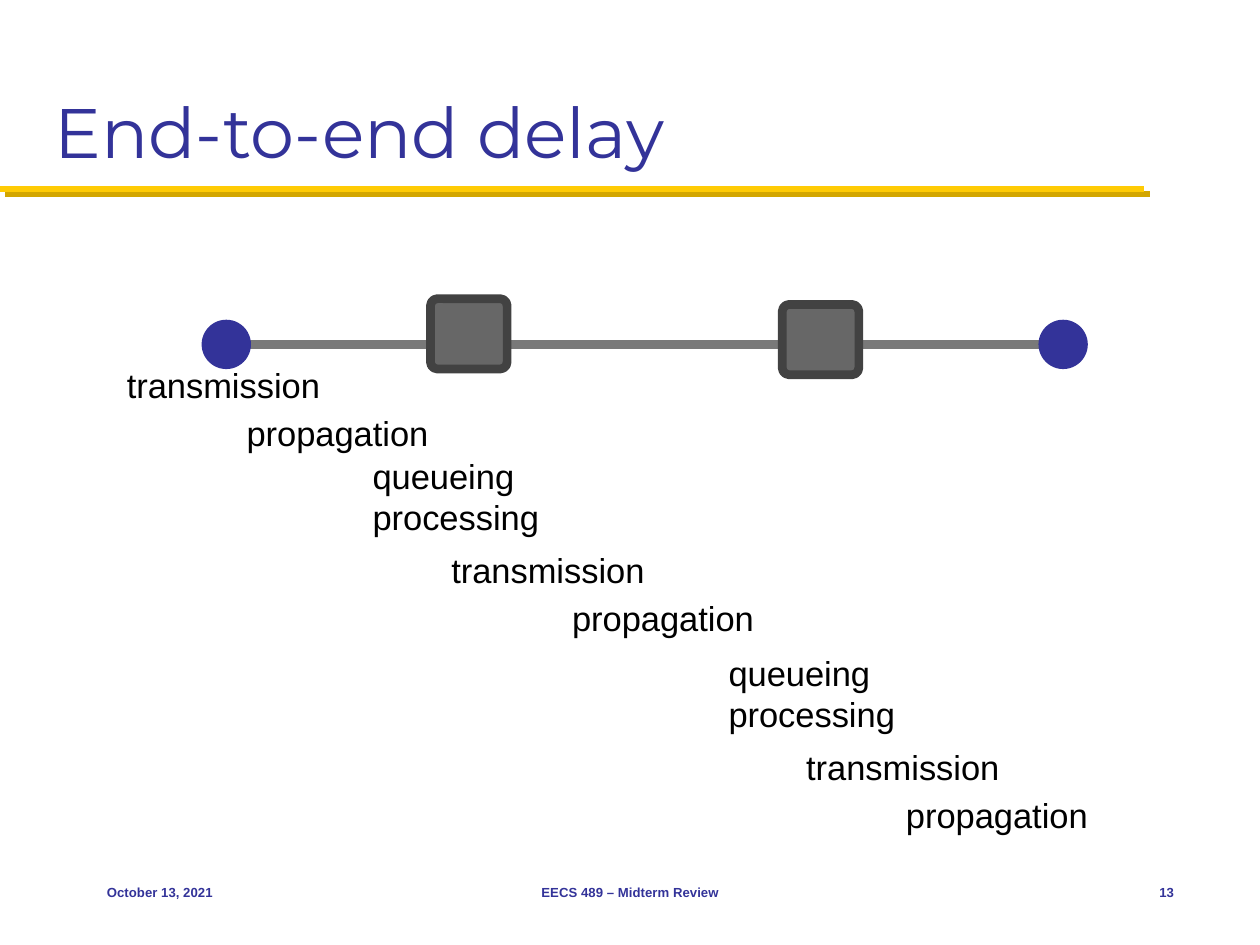
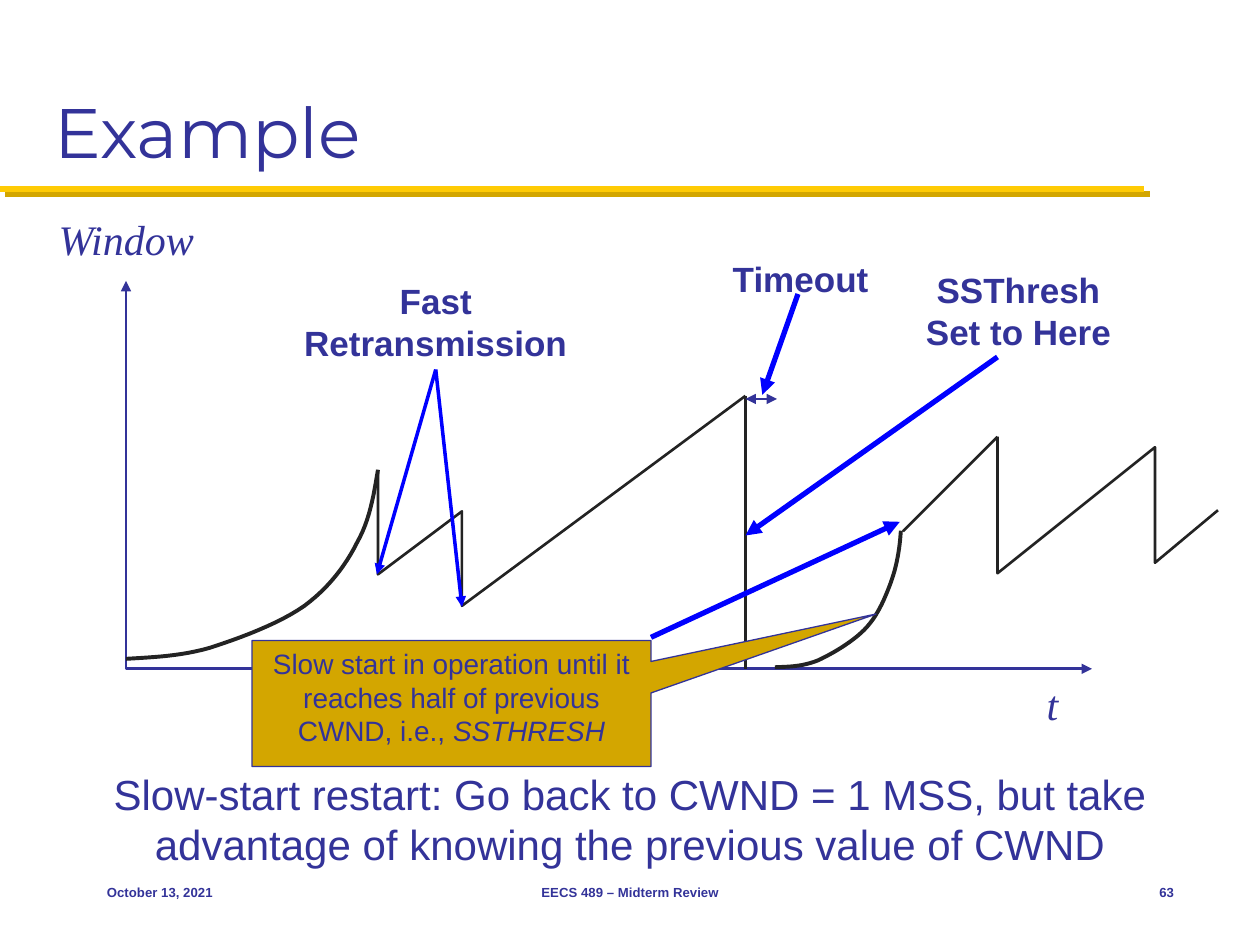
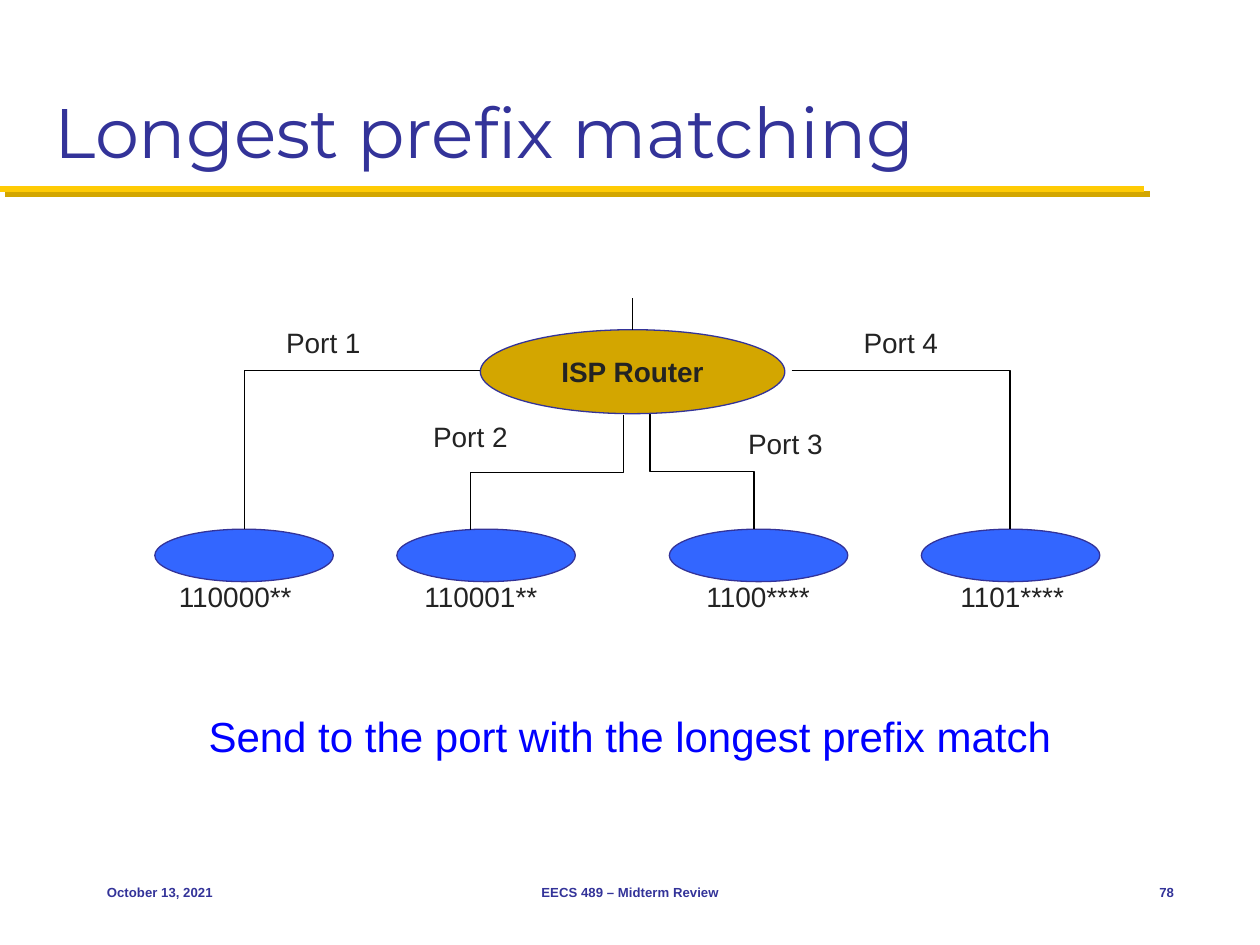
from dataclasses import dataclass
from typing import NamedTuple

from lxml.etree import SubElement
from pptx import Presentation
from pptx.dml.color import RGBColor
from pptx.enum.shapes import MSO_CONNECTOR, MSO_SHAPE
from pptx.enum.text import MSO_ANCHOR, PP_ALIGN
from pptx.oxml.ns import qn
from pptx.util import Emu, Inches, Pt

STRAIGHT, ELBOW = MSO_CONNECTOR.STRAIGHT, MSO_CONNECTOR.ELBOW
ELLIPSE, ROUNDED = MSO_SHAPE.OVAL, MSO_SHAPE.ROUNDED_RECTANGLE
CALLOUT = MSO_SHAPE.RECTANGULAR_CALLOUT
LEFT, CENTER, RIGHT = PP_ALIGN.LEFT, PP_ALIGN.CENTER, PP_ALIGN.RIGHT
TOP, MIDDLE, BOTTOM = MSO_ANCHOR.TOP, MSO_ANCHOR.MIDDLE, MSO_ANCHOR.BOTTOM

COLS, ROWS = 120, 90
WIDTH, HEIGHT = Inches(10), Inches(7.5)
COLORS = {
    "navy": "333399", "maize": "FFCB05", "gold": "D3A600", "blue": "0000FF",
    "azure": "3366FF", "ink": "232323", "black": "000000",
    "link": "797979", "router": "676767", "edge": "424242",
}
TITLE = {"name": "Montserrat", "size": Pt(40), "color": "navy"}
FOOTER = {"name": "Arial", "size": Pt(7.5), "bold": True, "color": "navy"}
STAGE = {"name": "Arial", "size": Pt(19.7), "color": "black"}
AXIS = {"name": "Times New Roman", "size": Pt(24), "italic": True, "color": "navy"}
EVENT = {"name": "Arial", "size": Pt(20), "bold": True, "color": "navy"}
BODY = {"name": "Arial", "size": Pt(24), "color": "navy"}
NOTE = {"name": "Arial", "size": Pt(16), "color": "navy"}
PORT = {**NOTE, "color": "ink"}
TIGHT = {f"margin_{side}": Inches(0.04) for side in ("left", "right", "top", "bottom")}


class Point(NamedTuple):
    x: float
    y: float


class Box(NamedTuple):
    x: float
    y: float
    w: float
    h: float


class Stroke(NamedTuple):
    color: str
    width: float


@dataclass
class Label:
    text: str
    box: Box
    font: dict
    align: PP_ALIGN = LEFT
    anchor: MSO_ANCHOR = TOP


@dataclass
class Arrow:
    start: Point
    end: Point
    stroke: Stroke
    ends: tuple = ("tailEnd",)


@dataclass
class Port:
    name: str
    name_box: Box
    prefix: str
    prefix_x: float
    host_x: float


def col(n: float) -> Emu:
    return Emu(round(WIDTH * n / COLS))


def row(n: float) -> Emu:
    return Emu(round(HEIGHT * n / ROWS))


def place(box: Box) -> tuple:
    return col(box.x), row(box.y), col(box.w), row(box.h)


def rgb(name: str) -> RGBColor:
    return RGBColor.from_string(COLORS[name])


def add_run(p, text: str, font: dict) -> None:
    r = p.add_run()
    r.text = text
    for key, value in font.items():
        if key == "color":
            r.font.color.rgb = rgb(value)
        else:
            setattr(r.font, key, value)


def write(tf, label: Label, **frame) -> None:
    fmt = {"word_wrap": True, "vertical_anchor": label.anchor, **frame}
    for key, value in fmt.items():
        setattr(tf, key, value)
    for i, line in enumerate(label.text.split("\n")):
        p = tf.add_paragraph() if i else tf.paragraphs[0]
        p.alignment = label.align
        add_run(p, line, label.font)


def add_label(s, label: Label, **frame) -> None:
    write(s.shapes.add_textbox(*place(label.box)).text_frame, label, **frame)


def set_stroke(sp, stroke: Stroke, ends: tuple = ()) -> None:
    sp.line.color.rgb = rgb(stroke.color)
    sp.line.width = Pt(stroke.width)
    ln = sp.element.spPr.find(qn("a:ln"))
    for end in ends:
        SubElement(ln, qn(f"a:{end}"), type="triangle")


def add_shape(s, kind, box: Box, fill: str, stroke: Stroke | None = None):
    sp = s.shapes.add_shape(kind, *place(box))
    sp.shadow.inherit = False
    sp.fill.solid()
    sp.fill.fore_color.rgb = rgb(fill)
    if stroke:
        set_stroke(sp, stroke)
    else:
        sp.line.fill.background()
    return sp


def add_line(s, start: Point, end: Point, stroke: Stroke, ends: tuple = (), kind=STRAIGHT):
    sp = s.shapes.add_connector(kind, col(start.x), row(start.y), col(end.x), row(end.y))
    set_stroke(sp, stroke, ends)
    SubElement(sp.element.spPr, qn("a:effectLst"))
    return sp


def add_path(s, points: list, stroke: Stroke, ends: tuple = ()) -> None:
    pts = [(col(x), row(y)) for x, y in points]
    fb = s.shapes.build_freeform(*pts[0], scale=1.0)
    fb.add_line_segments(pts[1:], close=False)
    sp = fb.convert_to_shape()
    sp.shadow.inherit = False
    sp.fill.background()
    set_stroke(sp, stroke, ends)


def bezier(knots: list, steps: int = 12) -> list:
    points = [knots[0]]
    for i in range(0, len(knots) - 1, 3):
        a, b, c, d = knots[i:i + 4]
        for n in range(1, steps + 1):
            t = n / steps
            u = 1 - t
            weights = (u ** 3, 3 * u * u * t, 3 * u * t * t, t ** 3)
            points.append(tuple(
                sum(k * v for k, v in zip(weights, axis)) for axis in zip(a, b, c, d)
            ))
    return points


def add_corner(s, start: Point, end: Point, stroke: Stroke) -> None:
    sp = add_line(s, start, end, stroke, kind=ELBOW)
    sp.element.spPr.find(qn("a:prstGeom")).set("prst", "bentConnector2")


def add_drop(s, start: Point, end: Point, stroke: Stroke) -> None:
    mid = Point((start.x + end.x) / 2, (start.y + end.y) / 2)
    half_w, half_h = (end.y - start.y) / 2, abs(end.x - start.x) / 2
    turn = 1 if end.x < start.x else -1
    sp = add_line(
        s,
        Point(mid.x - turn * half_w, mid.y - half_h),
        Point(mid.x + turn * half_w, mid.y + half_h),
        stroke, kind=ELBOW,
    )
    sp.element.spPr.find(qn("a:xfrm")).set("rot", str(turn * 90 % 360 * 60000))


def add_rule(s) -> None:
    sp = add_line(s, Point(0, 18), Point(109, 18), Stroke("maize", 3.5))
    effects = sp.element.spPr.find(qn("a:effectLst"))
    shadow = SubElement(effects, qn("a:outerShdw"), dist=str(Pt(4.2)),
                        dir=str(45 * 60000), algn="ctr", rotWithShape="0")
    SubElement(shadow, qn("a:srgbClr"), val=COLORS["gold"])


def new_slide(prs, title: str, number: int):
    s = prs.slides.add_slide(prs.slide_layouts[6])
    add_rule(s)
    for label in (
        Label(title, Box(4, 2, 112, 15), TITLE, LEFT, BOTTOM),
        Label("October 13, 2021", Box(9, 82, 25, 6), FOOTER, LEFT, MIDDLE),
        Label("EECS 489 – Midterm Review", Box(41, 82, 38, 6), FOOTER, CENTER, MIDDLE),
        Label(str(number), Box(105, 82, 8, 6), FOOTER, RIGHT, MIDDLE),
    ):
        add_label(s, label)
    return s


def build_delay(prs) -> None:
    s = new_slide(prs, "End-to-end delay", 13)
    add_line(s, Point(22.2, 32.8), Point(100.2, 32.8), Stroke("link", 5))
    for x in (19.2, 98.9):
        add_shape(s, ELLIPSE, Box(x, 30.45, 4.7, 4.7), "navy")
    for x, y in ((41, 28.45), (74.5, 29)):
        sp = add_shape(s, ROUNDED, Box(x, y, 7.3, 6.7), "router", Stroke("edge", 5))
        sp.adjustments[0] = 0.1
    stages = (
        ("transmission", 11.6, 34.2), ("propagation", 23, 38.8),
        ("queueing", 35, 42.85), ("processing", 35, 46.8),
        ("transmission", 42.5, 51.85), ("propagation", 54, 56.4),
        ("queueing", 68.9, 61.6), ("processing", 68.9, 65.5),
        ("transmission", 76.3, 70.6), ("propagation", 85.8, 75.1),
    )
    for text, x, y in stages:
        add_label(s, Label(text, Box(x, y, 20, 4.9), STAGE, LEFT, MIDDLE), **TIGHT)


def build_window(prs) -> None:
    s = new_slide(prs, "Example", 63)
    thin, curve = Stroke("ink", 1.5), Stroke("ink", 2.25)
    thick, medium = Stroke("blue", 3), Stroke("blue", 2)
    both = ("headEnd", "tailEnd")
    peak, floor = Point(71, 37.7), 63.7

    add_path(s, [(12, 26.75), (12, floor), (104, floor)], Stroke("navy", 1.5), both)
    add_path(s, bezier([
        (36, 44.75), (35.6, 47.2), (35.2, 49.6), (34, 51.7),
        (32.9, 53.9), (31.3, 56), (29, 57.7),
        (26.6, 59.4), (22.8, 60.8), (20, 61.7),
        (17.2, 62.5), (14.6, 62.6), (12, 62.75),
    ]), curve)
    add_path(s, [(36, 44.75), (36, 54.7), (44, 48.7), (44, 57.7), peak], thin)
    add_line(s, peak, Point(peak.x, floor), thin)
    add_path(s, bezier([
        (85.8, 50.55), (85.7, 52.3), (85.4, 54), (84.8, 55.6),
        (84.2, 57.2), (83.5, 58.8), (82.3, 60),
        (81.1, 61.2), (79.2, 62.3), (77.9, 62.9),
        (76.4, 63.5), (75.1, 63.5), (73.8, 63.55),
    ]), curve)

    note = Label("Slow start in operation until it reaches half of previous CWND, i.e., ",
                 Box(24, 61, 38, 12), NOTE, CENTER)
    sp = add_shape(s, CALLOUT, note.box, "gold", Stroke("navy", 0.75))
    sp.adjustments[0], sp.adjustments[1] = 1.064, -0.71
    write(sp.text_frame, note)
    add_run(sp.text_frame.paragraphs[0], "SSTHRESH", {**NOTE, "italic": True})

    add_path(s, [(95, 41.6), (95, 54.6), (110, 42.6), (110, 53.6), (116, 48.6)], thin)
    add_line(s, Point(86, 50.6), Point(95, 41.6), thin)
    for a in (
        Arrow(Point(62, 60.7), Point(85.7, 49.7), thick),
        Arrow(Point(76, 28), Point(72.6, 37.6), thick),
        Arrow(Point(71, 38), Point(74, 38), Stroke("navy", 0.75), both),
        Arrow(Point(41.5, 35.2), Point(35.9, 54.7), medium),
        Arrow(Point(41.5, 35.2), Point(44, 57.8), medium),
        Arrow(Point(95, 34), Point(71, 51), thick),
    ):
        add_line(s, a.start, a.end, a.stroke, a.ends)
    for label in (
        Label("Timeout", Box(67, 23.9, 18.5, 5.2), EVENT, CENTER),
        Label("Fast Retransmission", Box(26, 26, 31, 9.2), EVENT, CENTER),
        Label("SSThresh\nSet to Here", Box(85, 25, 24, 9.2), EVENT, CENTER),
        Label("Slow-start restart: Go back to CWND = 1 MSS, but take advantage "
              "of knowing the previous value of CWND",
              Box(8.6, 72.6, 102.8, 10.9), BODY, CENTER),
    ):
        add_label(s, label)
    for label in (
        Label("Window", Box(4.4, 19.7, 15.5, 6), AXIS),
        Label("t", Box(98.5, 64, 3.5, 6), AXIS),
    ):
        add_label(s, label, word_wrap=False)


def build_prefix(prs) -> None:
    s = new_slide(prs, "Longest prefix matching", 78)
    outline, wire = Stroke("navy", 0.75), Stroke("black", 0.75)
    host_y = 50.4
    ports = (
        Port("Port 1", Box(25.3, 30.4, 11, 4.4), "110000**", 12, 14.75),
        Port("Port 2", Box(39.3, 39.4, 11, 4.4), "110001**", 35.4, 37.8),
        Port("Port 3", Box(69.3, 40, 11, 4.4), "1100****", 61.8, 63.75),
        Port("Port 4", Box(80.3, 30.4, 11, 4.4), "1101****", 86, 87.75),
    )
    for port in ports:
        add_shape(s, ELLIPSE, Box(port.host_x, host_y, 17, 5), "azure", outline)
        add_label(s, Label(port.prefix, Box(port.prefix_x, 54.6, 20.8, 4.4), PORT, CENTER))
        add_label(s, Label(port.name, port.name_box, PORT, CENTER))
    add_corner(s, Point(46.4, 35.3), Point(23.3, host_y), wire)
    add_corner(s, Point(75.4, 35.3), Point(96.2, host_y), wire)
    add_drop(s, Point(59.4, 39.5), Point(44.8, 50.5), wire)
    add_drop(s, Point(61.9, 39.4), Point(71.8, host_y), wire)

    router = Label("ISP Router", Box(45.75, 31.4, 29, 8), {**PORT, "bold": True}, CENTER, MIDDLE)
    write(add_shape(s, ELLIPSE, router.box, "gold", outline).text_frame, router, word_wrap=False)
    add_line(s, Point(60.25, 28.4), Point(60.25, 31.4), wire)
    add_label(s, Label("Send to the port with the longest prefix match",
                       Box(5.75, 67.1, 108.5, 6), {**BODY, "color": "blue"}, CENTER))


def main() -> None:
    prs = Presentation()
    prs.slide_width, prs.slide_height = WIDTH, HEIGHT
    for build in (build_delay, build_window, build_prefix):
        build(prs)
    prs.save("out.pptx")


main()
